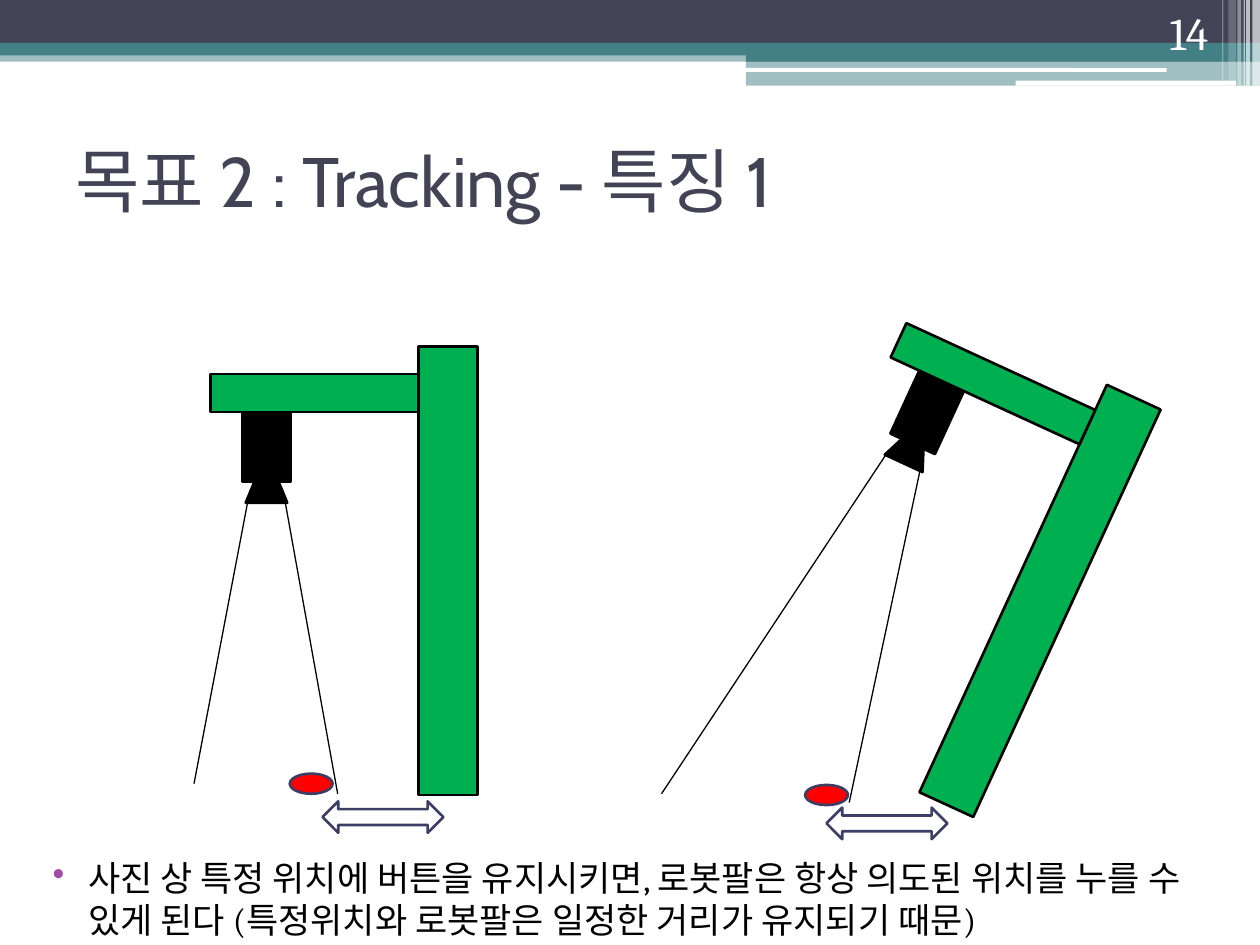
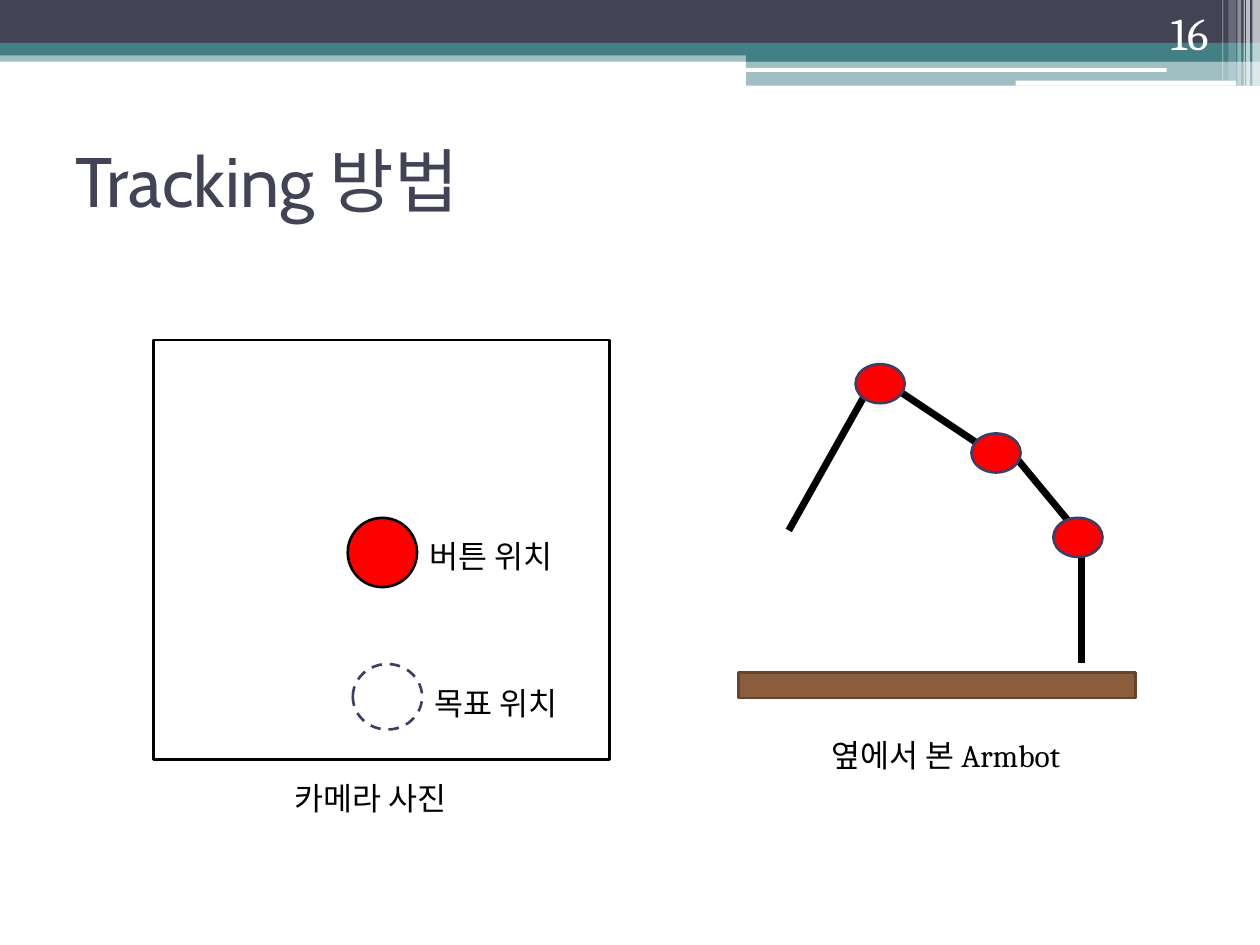
from dataclasses import dataclass
from math import cos, radians, sin
from typing import NamedTuple, Optional

import lxml.etree
import pptx
import pptx.dml.color
import pptx.enum.dml
import pptx.enum.shapes
import pptx.enum.text
import pptx.oxml.ns
import pptx.util

SHAPE = pptx.enum.shapes.MSO_SHAPE
ALIGN = pptx.enum.text.PP_ALIGN
ANCHOR = pptx.enum.text.MSO_ANCHOR
AUTO = pptx.enum.text.MSO_AUTO_SIZE
qn = pptx.oxml.ns.qn

# The slide is a grid of 100 columns by 75 rows
WIDTH, HEIGHT = pptx.util.Inches(10), pptx.util.Inches(7.5)
COLUMN, ROW = WIDTH / 100, HEIGHT / 75


@dataclass(frozen=True)
class Theme:
    navy: str = "424456"
    teal: str = "438086"
    white: str = "FFFFFF"
    black: str = "000000"
    green: str = "00B050"
    red: str = "FF0000"
    outline: str = "3D3E66"
    bullet: str = "A04DA3"
    table: str = "8B5D3D"
    table_edge: str = "67452D"
    title_font: str = "Cabin"
    body_font: str = "Cambria"
    title_size: int = 40
    number_size: int = 26
    body_size: int = 20
    label_size: int = 18
    edge: float = 1.5
    sight_line: float = 0.75
    link_line: float = 4


THEME = Theme()


class Box(NamedTuple):
    left: float
    top: float
    width: float
    height: float

    def emu(self) -> tuple:
        return (round(self.left * COLUMN), round(self.top * ROW),
                round(self.width * COLUMN), round(self.height * ROW))

    def centre(self) -> tuple:
        return self.left + self.width / 2, self.top + self.height / 2


class Band(NamedTuple):
    box: Box
    colour: str
    opacity: int = 100
    kind: int = SHAPE.RECTANGLE


class Part(NamedTuple):
    box: Box
    colour: str
    kind: int = SHAPE.RECTANGLE
    turn: float = 0


class Line(NamedTuple):
    x1: float
    y1: float
    x2: float
    y2: float


class Label(NamedTuple):
    text: str
    box: Box
    wrap: bool = True


BANDS = [
    Band(Box(0, 4, 100, 0.9), THEME.teal, 50),
    Band(Box(0, 0, 100, 3.4), THEME.navy),
    Band(Box(0, 3.4, 100, 1), THEME.teal),
    Band(Box(59.2, 3.9, 40.8, 1), THEME.teal),
    Band(Box(59.2, 4.8, 40.8, 2), THEME.teal, 50),
    Band(Box(59.1, 5.4, 33.5, 0.3), THEME.white, kind=SHAPE.ROUNDED_RECTANGLE),
    Band(Box(80.6, 6.4, 17.5, 0.4), THEME.white, kind=SHAPE.ROUNDED_RECTANGLE),
] + [Band(Box(left, 0, width, height), THEME.white, opacity)
     for left, width, height, opacity in [
         (99.4, 0.6, 6.8, 65), (98.9, 0.3, 6.8, 65), (98.7, 0.1, 6.8, 60),
         (98.2, 0.3, 6.8, 40), (97.5, 0.6, 6.4, 20), (97, 0.1, 6.4, 30)]]
TITLE_BOX = Box(5, 8.4, 90, 11.7)
NUMBER_BOX = Box(88.6, 1.2, 8.3, 4)

# Robot arm standing upright, and the point it turns about
ARM_CENTRE = (27.3, 45.3)
ARM_PARTS = [
    Part(Box(19.2, 32.7, 3.9, 5.5), THEME.black),
    Part(Box(19.5, 38.3, 3.3, 1.6), THEME.black,
         SHAPE.FLOWCHART_MANUAL_OPERATION, 180),
    Part(Box(33.2, 27.5, 4.7, 35.6), THEME.green),
    Part(Box(16.7, 29.7, 16.5, 3), THEME.green),
]


class Pose(NamedTuple):
    centre: tuple
    tilt: float
    sights: list
    button: tuple
    arrow: tuple


POSES = [
    Pose(ARM_CENTRE, 0,
         [Line(22.5, 39.1, 26.8, 63), Line(19.8, 39.1, 15.4, 62.2)],
         (23, 61.4), (25.6, 63.6)),
    Pose((75.05, 44.25), 24.7,
         [Line(73.2, 36.5, 67.4, 63.7), Line(70.5, 35.8, 52.5, 63)],
         (63.9, 62.3), (65.6, 64.1)),
]

# Side view of the arm and the camera view
LINKS = [Line(85.8, 43.9, 85.8, 52.6), Line(80.7, 36.4, 85, 41.6),
         Line(71.6, 31.2, 77.6, 35.2), Line(62.6, 42.1, 68.5, 31.6)]
JOINTS = [(83.6, 41.1), (77.1, 34.4), (67.9, 28.9)]
LABELS = [
    Label("카메라 사진", Box(22.4, 61.3, 15.3, 4), wrap=False),
    Label("옆에서 본 Armbot", Box(65, 57.9, 21.1, 4), wrap=False),
    Label("목표 위치", Box(33.5, 53.8, 14.2, 4)),
    Label("버튼 위치", Box(33.1, 42.1, 14.2, 4)),
]


def rgb(colour: str) -> pptx.dml.color.RGBColor:
    return pptx.dml.color.RGBColor.from_string(colour)


def add_part(s, kind: int, box: Box, fill: Optional[str] = None,
             line: Optional[str] = None, turn: float = 0,
             opacity: int = 100, dashed: bool = False) -> None:
    sp = s.shapes.add_shape(kind, *box.emu())
    sp.shadow.inherit = False
    sp.rotation = turn
    if fill:
        sp.fill.solid()
        sp.fill.fore_color.rgb = rgb(fill)
        if opacity < 100:
            colour = sp.fill._xPr.find(".//" + qn("a:srgbClr"))
            lxml.etree.SubElement(colour, qn("a:alpha"), val=str(opacity * 1000))
    else:
        sp.fill.background()
    if line:
        sp.line.color.rgb = rgb(line)
        sp.line.width = pptx.util.Pt(THEME.edge)
        if dashed:
            sp.line.dash_style = pptx.enum.dml.MSO_LINE.DASH
    else:
        sp.line.fill.background()


def add_line(s, line: Line, width: float) -> None:
    cx = s.shapes.add_connector(
        pptx.enum.shapes.MSO_CONNECTOR.STRAIGHT,
        round(line.x1 * COLUMN), round(line.y1 * ROW),
        round(line.x2 * COLUMN), round(line.y2 * ROW))
    cx.line.color.rgb = rgb(THEME.black)
    cx.line.width = pptx.util.Pt(width)
    lxml.etree.SubElement(cx._element.spPr, qn("a:effectLst"))


def write(sp, text: str, *, size: float, colour: str = THEME.black,
          font: str = THEME.body_font, align: int = ALIGN.LEFT,
          anchor: int = ANCHOR.TOP, wrap: bool = True, grow: bool = False):
    tf = sp.text_frame
    tf.word_wrap = wrap
    tf.auto_size = AUTO.SHAPE_TO_FIT_TEXT if grow else AUTO.NONE
    tf.vertical_anchor = anchor
    p = tf.paragraphs[0]
    p.alignment = align
    r = p.add_run()
    r.text = text
    r.font.name = font
    r.font.size = pptx.util.Pt(size)
    r.font.color.rgb = rgb(colour)
    return p


def add_bullet(p, colour: str) -> None:
    p.space_before = pptx.util.Pt(3)
    pPr = p._p.get_or_add_pPr()
    pPr.set("marL", str(pptx.util.Inches(0.4)))
    pPr.set("indent", str(pptx.util.Inches(-0.28)))
    bu_clr = lxml.etree.SubElement(pPr, qn("a:buClr"))
    lxml.etree.SubElement(bu_clr, qn("a:srgbClr"), val=colour)
    lxml.etree.SubElement(pPr, qn("a:buChar"), char="•")


def add_slide(prs, title: str, number: int):
    s = prs.slides.add_slide(prs.slide_layouts[5])
    for band in BANDS:
        add_part(s, band.kind, band.box, band.colour, opacity=band.opacity)
    sp = s.shapes.title
    sp.left, sp.top, sp.width, sp.height = TITLE_BOX.emu()
    write(sp, title, size=THEME.title_size, colour=THEME.navy,
          font=THEME.title_font, anchor=ANCHOR.MIDDLE)
    write(s.shapes.add_textbox(*NUMBER_BOX.emu()), str(number),
          size=THEME.number_size, colour=THEME.white, align=ALIGN.RIGHT,
          anchor=ANCHOR.BOTTOM)
    return s


def add_arm(s, pose: Pose) -> None:
    c, n = cos(radians(pose.tilt)), sin(radians(pose.tilt))
    for part in ARM_PARTS:
        x, y = part.box.centre()
        dx, dy = x - ARM_CENTRE[0], y - ARM_CENTRE[1]
        _, _, w, h = part.box
        box = Box(pose.centre[0] + dx * c - dy * n - w / 2,
                  pose.centre[1] + dx * n + dy * c - h / 2, w, h)
        add_part(s, part.kind, box, part.colour, THEME.black,
                 turn=part.turn + pose.tilt)
    for sight in pose.sights:
        add_line(s, sight, THEME.sight_line)
    add_part(s, SHAPE.OVAL, Box(*pose.button, 3.4, 1.6), THEME.red, THEME.outline)
    add_part(s, SHAPE.LEFT_RIGHT_ARROW, Box(*pose.arrow, 9.6, 2.5),
             line=THEME.outline)


def build_feature_slide(prs) -> None:
    s = add_slide(prs, "목표 2 : Tracking - 특징 1", 14)
    for pose in POSES:
        add_arm(s, pose)
    p = write(s.shapes.add_textbox(*Box(2, 67.5, 96.1, 7.6).emu()),
              "사진 상 특정 위치에 버튼을 유지시키면, 로봇팔은 항상 의도된 위치를 "
              "누를 수 있게 된다 (특정위치와 로봇팔은 일정한 거리가 유지되기 때문)",
              size=THEME.body_size)
    add_bullet(p, THEME.bullet)


def build_method_slide(prs) -> None:
    s = add_slide(prs, "Tracking 방법", 16)
    # Side view
    for link in LINKS:
        add_line(s, link, THEME.link_line)
    for joint in JOINTS:
        add_part(s, SHAPE.OVAL, Box(*joint, 3.9, 3.1), THEME.red, THEME.outline)
    add_part(s, SHAPE.RECTANGLE, Box(58.6, 53.4, 31.5, 2), THEME.table,
             THEME.table_edge)
    # Camera view
    add_part(s, SHAPE.RECTANGLE, Box(12.2, 27, 36.2, 33.3), line=THEME.black)
    add_part(s, SHAPE.OVAL, Box(27.6, 41.1, 5.5, 5.5), THEME.red, THEME.black)
    add_part(s, SHAPE.OVAL, Box(28, 52.7, 5.5, 5.2), line=THEME.outline,
             dashed=True)
    for label in LABELS:
        write(s.shapes.add_textbox(*label.box.emu()), label.text,
              size=THEME.label_size, wrap=label.wrap, grow=True)


def main() -> None:
    prs = pptx.Presentation()
    prs.slide_width, prs.slide_height = WIDTH, HEIGHT
    build_feature_slide(prs)
    build_method_slide(prs)
    prs.save("out.pptx")


if __name__ == "__main__":
    main()
